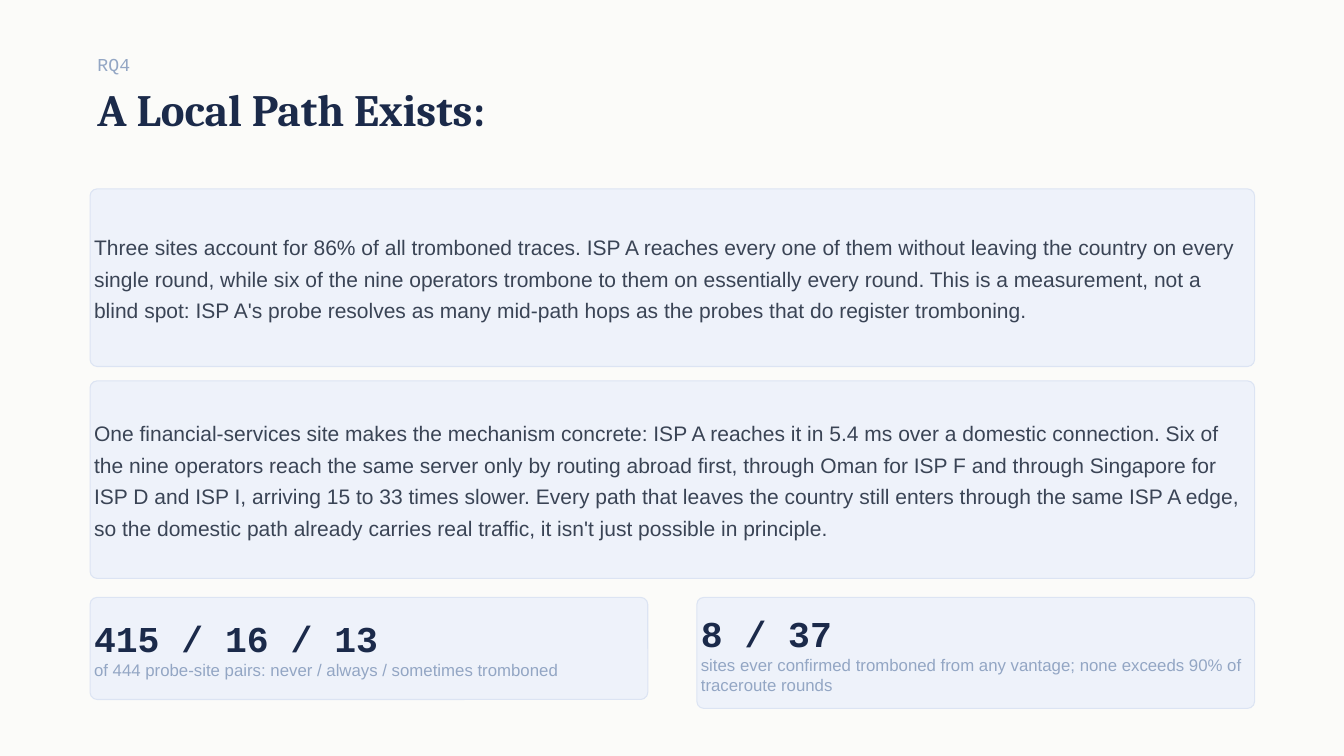
from pptx import Presentation
from pptx.dml.color import RGBColor
from pptx.enum.shapes import MSO_SHAPE
from pptx.enum.text import MSO_ANCHOR, PP_ALIGN
from pptx.util import Inches, Pt

ROUNDED = MSO_SHAPE.ROUNDED_RECTANGLE
MIDDLE, TOP = MSO_ANCHOR.MIDDLE, MSO_ANCHOR.TOP
LEFT_ALIGNED = PP_ALIGN.LEFT

PAPER = RGBColor(0xFB, 0xFB, 0xF9)
NAVY = RGBColor(0x1B, 0x2A, 0x4A)
SLATE = RGBColor(0x3A, 0x44, 0x55)
MUTED = RGBColor(0x93, 0xA6, 0xC4)
CARD_FILL = RGBColor(0xEE, 0xF2, 0xFA)
CARD_EDGE = RGBColor(0xDC, 0xE4, 0xF3)

# Text styles: font, size, line spacing, colour, bold
KICKER = ("Courier New", 19.5, 23.4, MUTED, False)
TITLE = ("Cambria", 48, 57.6, NAVY, True)
BODY = ("Arial", 22.5, 33.75, SLATE, False)
FIGURE = ("Courier New", 39, 46.8, NAVY, True)
CAPTION = ("Arial", 18, 21.6, MUTED, False)

prs = Presentation()
prs.slide_width, prs.slide_height = Inches(20), Inches(11.25)
X, Y = prs.slide_width / 100, prs.slide_height / 100  # one percent of the slide
slide = prs.slides.add_slide(prs.slide_layouts[6])
slide.background.fill.solid()
slide.background.fill.fore_color.rgb = PAPER


def add_text(shapes, left, top, width, height, lines, inset=0, anchor=TOP):
    """Place (wording, style) lines in a box measured in percent of the slide."""
    box = shapes.add_textbox(int(left * X), int(top * Y), int(width * X), int(height * Y))
    frame = box.text_frame
    frame.word_wrap = True
    frame.vertical_anchor = anchor
    frame.margin_left = frame.margin_right = int(inset * X)
    frame.margin_top = frame.margin_bottom = int(inset * X)
    frame.text = "\n".join(wording for wording, _ in lines)
    for paragraph, (_, style) in zip(frame.paragraphs, lines):
        font_name, size, spacing, colour, bold = style
        paragraph.alignment = LEFT_ALIGNED
        paragraph.line_spacing = Pt(spacing)
        font = paragraph.runs[0].font
        font.name, font.size, font.bold = font_name, Pt(size), bold
        font.color.rgb = colour


def add_card(left, top, width, height, lines, lift=0):
    """Group a rounded panel with its text; lift starts the text box higher."""
    card = slide.shapes.add_group_shape()
    panel = card.shapes.add_shape(
        ROUNDED, int(left * X), int(top * Y), int(width * X), int(height * Y))
    panel.adjustments[0] = CORNER * X / min(panel.width, panel.height)
    panel.shadow.inherit = False
    panel.fill.solid()
    panel.fill.fore_color.rgb = CARD_FILL
    panel.line.color.rgb = CARD_EDGE
    panel.line.width = Pt(1.13)
    add_text(card.shapes, left, top - lift, width, height + lift, lines, 0.3, MIDDLE)


# Heading
add_text(slide.shapes, 7.25, 7.02, 32.8, 3.47, [("RQ4", KICKER)])
add_text(slide.shapes, 7.25, 10.84, 85.55, 9.16, [("A Local Path Exists:", TITLE)])

# Findings across the full width
MARGIN, FULL, CORNER = 6.7, 86.65, 0.53
findings = [
    (24.98, 23.5,
     "Three sites account for 86% of all tromboned traces. ISP A reaches every one of "
     "them without leaving the country on every single round, while six of the nine "
     "operators trombone to them on essentially every round. This is a measurement, "
     "not a blind spot: ISP A's probe resolves as many mid-path hops as the probes "
     "that do register tromboning."),
    (50.38, 26.13,
     "One financial-services site makes the mechanism concrete: ISP A reaches it in "
     "5.4 ms over a domestic connection. Six of the nine operators reach the same "
     "server only by routing abroad first, through Oman for ISP F and through "
     "Singapore for ISP D and ISP I, arriving 15 to 33 times slower. Every path that "
     "leaves the country still enters through the same ISP A edge, so the domestic "
     "path already carries real traffic, it isn't just possible in principle."),
]
for top, height, wording in findings:
    add_card(MARGIN, top, FULL, height, [(wording, BODY)], lift=0.58)

# Key figures in two columns
COLUMN = 41.5
figures = [
    (13.51, "415 / 16 / 13",
     "of 444 probe-site pairs: never / always / sometimes tromboned"),
    (14.69, "8 / 37",
     "sites ever confirmed tromboned from any vantage; none exceeds 90% of "
     "traceroute rounds"),
]
for index, (height, figure, caption) in enumerate(figures):
    add_card(MARGIN + index * (FULL - COLUMN), 79.02, COLUMN, height,
             [(figure, FIGURE), (caption, CAPTION)])

prs.save("out.pptx")
